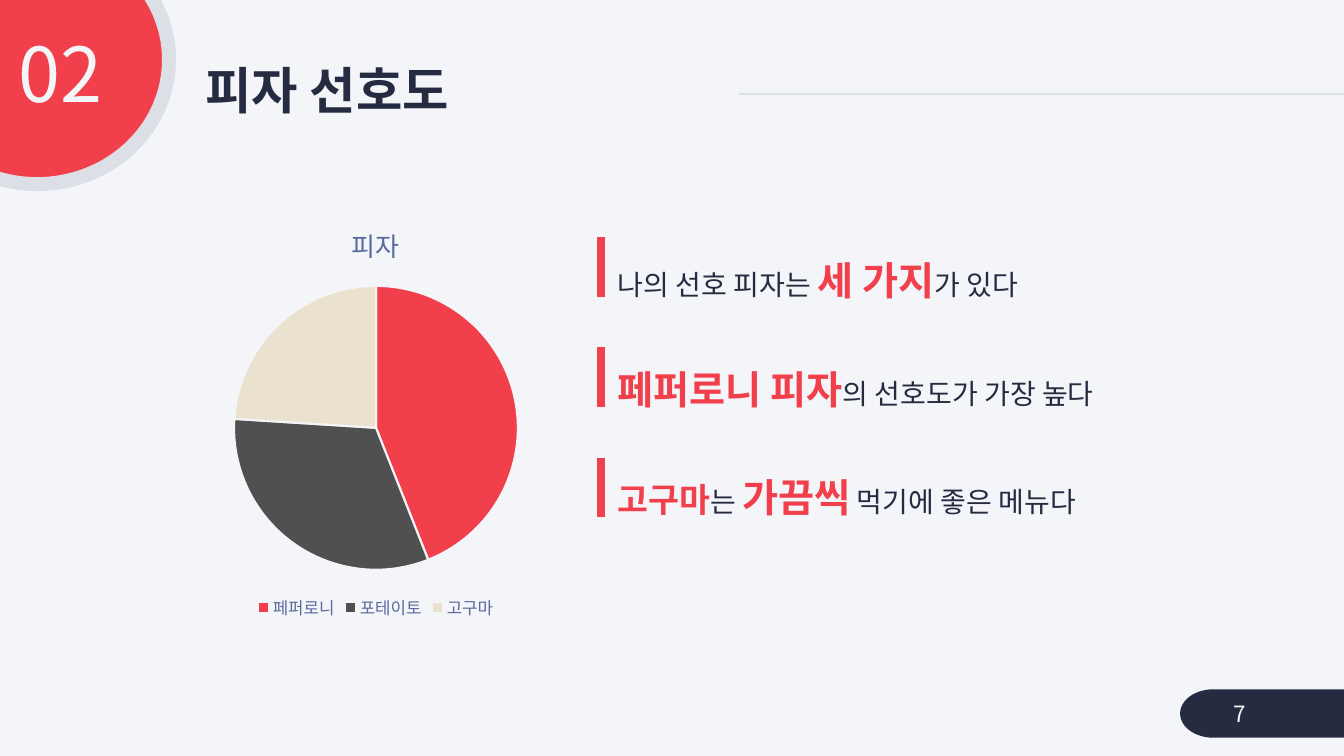
from pptx import Presentation
from pptx import util as u
from pptx.chart.data import CategoryChartData
from pptx.dml.color import RGBColor
from pptx.enum import chart as charts, shapes, text
from pptx.oxml import parse_xml
from pptx.oxml.ns import nsdecls, qn


class Deck:
    """Hold the style and the current slide, and draw each kind of element."""

    font = "Noto Sans CJK KR"
    colours = {"paper": "F4F5F9", "navy": "252C41", "red": "F1404B", "mist": "DDDFE6",
               "slate": "596A9C", "charcoal": "505050", "cream": "EAE2CE"}

    def __init__(self, width, height):
        self.prs = Presentation()
        self.prs.slide_width, self.prs.slide_height = u.Cm(width), u.Cm(height)
        self.slide = self.prs.slides.add_slide(self.prs.slide_layouts[6])
        self.paint(self.slide.background.fill, "paper")

    def rgb(self, colour):
        return RGBColor.from_string(self.colours[colour])

    def paint(self, fill, colour):
        fill.solid()
        fill.fore_color.rgb = self.rgb(colour)

    def style(self, font, size, colour, bold=False):
        font.name, font.size, font.bold = self.font, u.Pt(size), bold
        font.color.rgb = self.rgb(colour)

    def set_east_asian(self, root):
        for latin in list(root.iter(qn("a:latin"))):
            latin.addnext(parse_xml(f'<a:ea {nsdecls("a")} typeface="{self.font}"/>'))

    def line(self, x1, y1, x2, y2, colour, weight):
        line = self.slide.shapes.add_connector(
            shapes.MSO_CONNECTOR.STRAIGHT, *map(u.Cm, (x1, y1, x2, y2)))
        line.line.color.rgb, line.line.width = self.rgb(colour), u.Pt(weight)
        line._element.spPr.append(parse_xml(f'<a:effectLst {nsdecls("a")}/>'))

    def shape(self, preset, box, colour, outline=None, weight=0):
        shape = self.slide.shapes.add_shape(preset, *map(u.Cm, box))
        shape.shadow.inherit = False
        self.paint(shape.fill, colour)
        if outline:
            shape.line.color.rgb, shape.line.width = self.rgb(outline), u.Pt(weight)
        else:
            shape.line.fill.background()

    def text(self, box, paragraphs, anchor="TOP", align="LEFT", spacing=1.0, before=0):
        frame = self.slide.shapes.add_textbox(*map(u.Cm, box)).text_frame
        frame.word_wrap = True
        frame.vertical_anchor = text.MSO_ANCHOR[anchor]
        for i, runs in enumerate(paragraphs):
            paragraph = frame.add_paragraph() if i else frame.paragraphs[0]
            paragraph.alignment = text.PP_ALIGN[align]
            paragraph.line_spacing, paragraph.space_before = spacing, u.Pt(before)
            for words, *look in runs:
                run = paragraph.add_run()
                run.text = words
                self.style(run.font, *look)
        self.set_east_asian(frame._txBody)

    def pie(self, box, title, slices):
        data = CategoryChartData()
        data.categories = [name for name, _, _ in slices]
        data.add_series(title, [value for _, value, _ in slices])
        chart = self.slide.shapes.add_chart(
            charts.XL_CHART_TYPE.PIE, *map(u.Cm, box), data).chart
        self.style(chart.font, 10, "navy")
        chart.has_title = True
        heading = chart.chart_title.text_frame.paragraphs[0].add_run()
        heading.text = title
        self.style(heading.font, 18.6, "slate")
        chart.has_legend = True
        chart.legend.position = charts.XL_LEGEND_POSITION.BOTTOM
        chart.legend.include_in_layout = False
        self.style(chart.legend.font, 12, "slate")
        plot = chart.plots[0]
        plot.vary_by_categories = True
        for i, (_, _, colour) in enumerate(slices):
            wedge = plot.series[0].points[i].format
            self.paint(wedge.fill, colour)
            wedge.line.color.rgb, wedge.line.width = self.rgb("paper"), u.Pt(1.5)
        self.set_east_asian(chart._chartSpace)


deck = Deck(33.87, 19.05)
deck.line(18.62, 2.36, 33.87, 2.36, "mist", 1.5)
deck.shape(shapes.MSO_SHAPE.OVAL, (-2.39, -1.63, 6.65, 6.27), "red", "mist", 10)
deck.shape(shapes.MSO_SHAPE.FLOWCHART_TERMINATOR, (29.74, 17.37, 5.21, 1.22), "navy")

plain, strong = (20, "navy"), (28, "red", True)
findings = [
    [("나의 선호 피자는 ", *plain), ("세 가지", *strong), ("가 있다", *plain)],
    [("페퍼로니 피자", *strong), ("의 선호도가 가장 높다", *plain)],
    [("고구마", 24, "red", True), ("는 ", *plain), ("가끔씩", *strong),
     (" 먹기에 좋은 메뉴다", *plain)],
]
deck.text((15.32, 5.16, 14.43, 10.57), findings, spacing=2.0, before=10)
deck.text((4.93, 1.5, 13.69, 1.7), [[("피자 선호도", 36, "navy", True)]],
          anchor="MIDDLE", spacing=0.9)
deck.text((-0.28, 0.81, 3.1, 2.34), [[("02", 54, "paper")]],
          align="RIGHT", spacing=0.9, before=10)
deck.text((30.84, 17.48, 2.77, 1.02), [[("7", 16, "paper")]], anchor="MIDDLE")

preferences = [("페퍼로니", 44, "red"), ("포테이토", 32, "charcoal"), ("고구마", 24, "cream")]
deck.pie((4.19, 5.16, 10.57, 10.57), "피자", preferences)

for row in range(len(findings)):
    top = 5.97 + 2.78 * row
    deck.line(15.14, top, 15.14, top + 1.51, "red", 6)

deck.prs.save("out.pptx")
